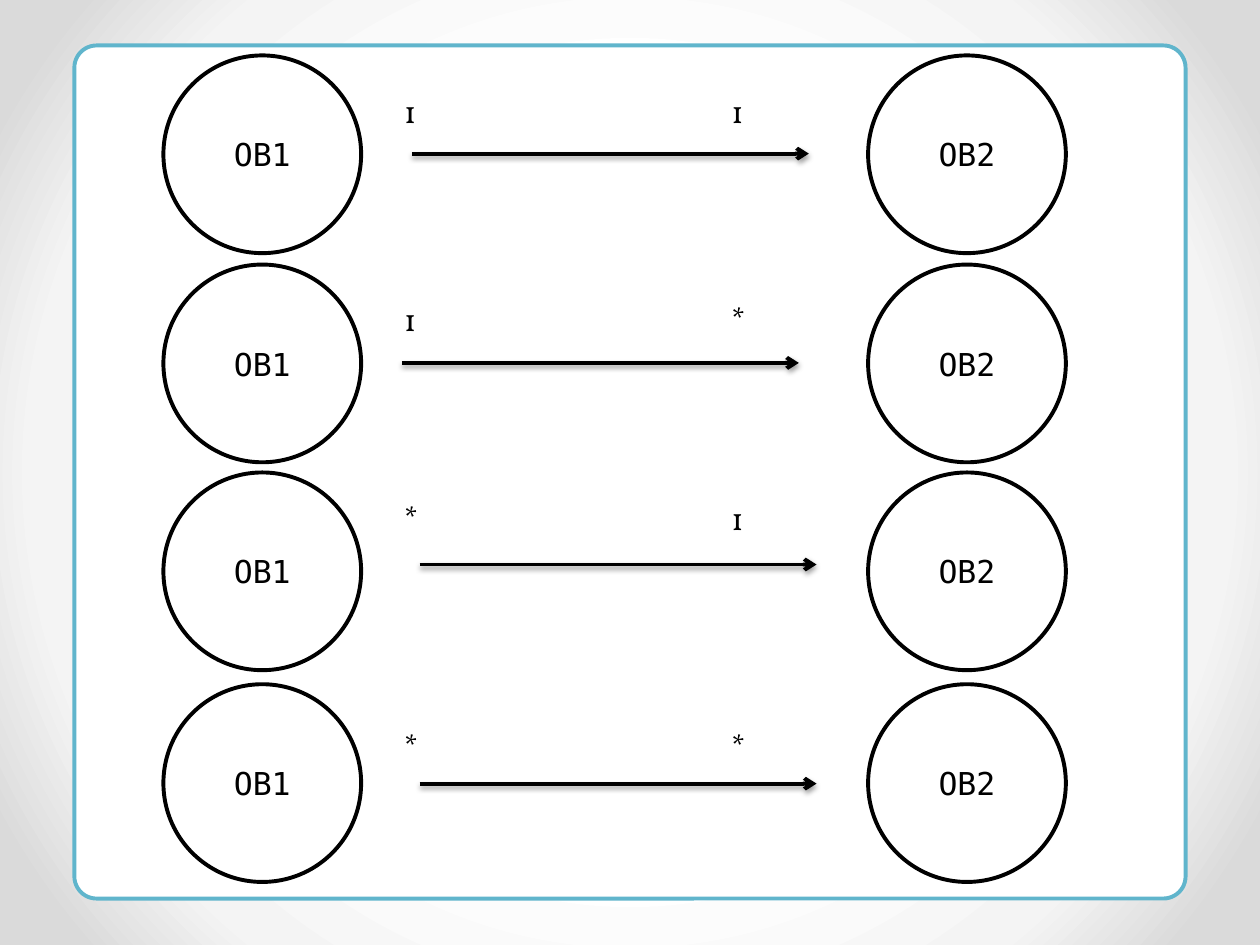
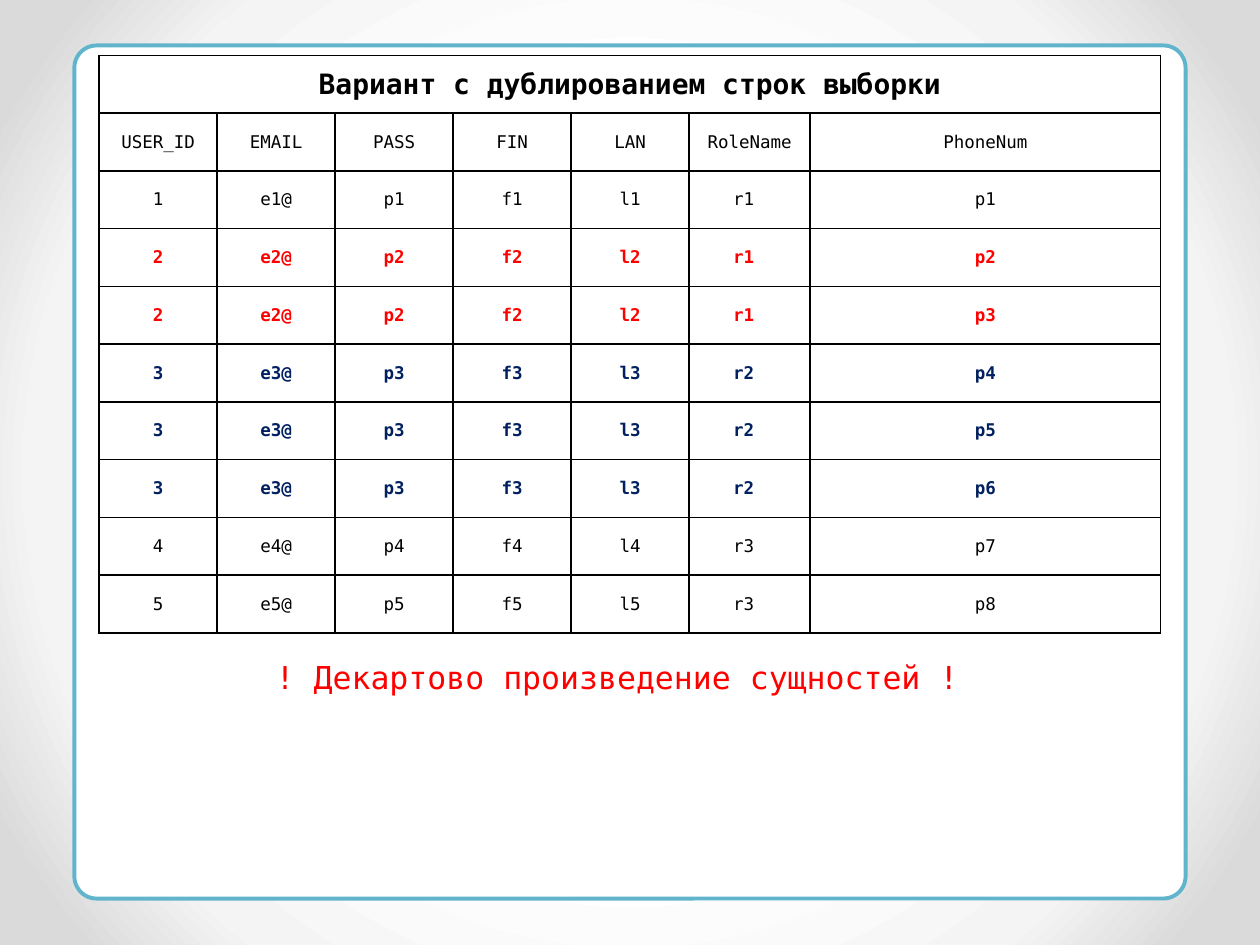
import pptx
import pptx.dml.color
import pptx.enum.shapes
import pptx.enum.text
import pptx.oxml
import pptx.oxml.ns
import pptx.util

Pt = pptx.util.Pt
SHAPE = pptx.enum.shapes.MSO_SHAPE
ALIGN = pptx.enum.text.PP_ALIGN
MIDDLE = pptx.enum.text.MSO_ANCHOR.MIDDLE

BLACK, WHITE, RED, NAVY, FRAME_BLUE = "000000", "FFFFFF", "FF0000", "002060", "60B5CC"
MONO, SERIF = "DejaVu Sans Mono", "Vollkorn"
LINE_WIDTH = 2.25
BACKDROP_STOPS = [(50, WHITE), (76, "F4F4F4"), (92, "DADADA")]

CIRCLE = 113
OB1_LEFT, OB2_LEFT = 93.4, 496.1
ARROW_LENGTH = 226.8
MARK_LEFT, MARK_GAP = 223.9, 187
RELATIONS = [
    # circle top, arrow left, arrow y, marks top, marks
][:0] + [
    (31.7, 235.4, 87.8, 49, "1", "1"),
    (151.2, 229.7, 207.4, 167.8, "1", "*"),
    (270, 239.8, 322.6, 281.5, "*", "1"),
    (391, 239.8, 447.8, 411.8, "*", "*"),
]

COLUMN_WIDTHS = [67.44] * 5 + [69.1, 200.3]
ROW_HEIGHT = 33
ROLE_COLUMN, ROLE_INDENT = 5, 25.2
HEADINGS = ["USER_ID", "EMAIL", "PASS", "FIN", "LAN", "RoleName", "PhoneNum"]
USER_ROLES = [(1, 1), (2, 1), (2, 1), (3, 2), (3, 2), (3, 2), (4, 3), (5, 3)]
USER_COLOURS = {2: RED, 3: NAVY}


def colour(hex_value):
    return pptx.dml.color.RGBColor.from_string(hex_value)


def xml(tag, content, attributes=""):
    namespace = pptx.oxml.ns.nsdecls("a")
    return pptx.oxml.parse_xml(f"<a:{tag} {namespace} {attributes}>{content}</a:{tag}>")


def write_text(frame, text, font=MONO, size=18, ink=BLACK, bold=False, align=ALIGN.CENTER):
    paragraph = frame.paragraphs[0]
    paragraph.alignment = align
    run = paragraph.add_run()
    run.text = text
    run.font.name = font
    run.font.size = Pt(size)
    run.font.bold = bold
    run.font.color.rgb = colour(ink)


def add_outlined(shapes, kind, left, top, width, height, outline):
    shape = shapes.add_shape(kind, Pt(left), Pt(top), Pt(width), Pt(height))
    shape.shadow.inherit = False
    shape.fill.solid()
    shape.fill.fore_color.rgb = colour(WHITE)
    shape.line.color.rgb = colour(outline)
    shape.line.width = Pt(LINE_WIDTH)
    return shape


def add_entity(shapes, left, top, label):
    entity = add_outlined(shapes, SHAPE.OVAL, left, top, CIRCLE, CIRCLE, BLACK)
    entity.text_frame.vertical_anchor = MIDDLE
    write_text(entity.text_frame, label)


def add_label(shapes, left, top, width, text, **text_format):
    label = shapes.add_textbox(Pt(left), Pt(top), Pt(width), Pt(29))
    label.text_frame.word_wrap = True
    label.text_frame.auto_size = pptx.enum.text.MSO_AUTO_SIZE.SHAPE_TO_FIT_TEXT
    write_text(label.text_frame, text, align=ALIGN.LEFT, **text_format)


def add_arrow(shapes, left, y):
    straight = pptx.enum.shapes.MSO_CONNECTOR.STRAIGHT
    arrow = shapes.add_connector(straight, Pt(left), Pt(y), Pt(left + ARROW_LENGTH), Pt(y))
    arrow.line.color.rgb = colour(BLACK)
    arrow.line.width = Pt(LINE_WIDTH)
    properties = arrow.line._get_or_add_ln()
    properties.append(xml("tailEnd", "", 'type="arrow"'))
    shadow = (
        f'<a:outerShdw blurRad="{Pt(3.1)}" dist="{Pt(1.6)}" dir="5400000" rotWithShape="0">'
        f'<a:srgbClr val="{BLACK}"><a:alpha val="38000"/></a:srgbClr></a:outerShdw>'
    )
    properties.addnext(xml("effectLst", shadow))


def add_relation(slide, top, arrow_left, arrow_y, marks_top, *marks):
    shapes = slide.shapes.add_group_shape().shapes
    add_entity(shapes, OB1_LEFT, top, "OB1")
    add_entity(shapes, OB2_LEFT, top, "OB2")
    add_arrow(shapes, arrow_left, arrow_y)
    for position, mark in enumerate(marks):
        add_label(shapes, MARK_LEFT + position * MARK_GAP, marks_top, 40, mark, font=SERIF)


def format_cell(cell):
    properties = cell._tc.get_or_add_tcPr()
    for side in "LRTB":
        line = f'<a:solidFill><a:srgbClr val="{BLACK}"/></a:solidFill>'
        properties.append(xml(f"ln{side}", line, f'w="{Pt(1)}"'))
    cell.fill.background()
    cell.vertical_anchor = MIDDLE


def selection_rows():
    yield HEADINGS, {}
    for phone, (user, role) in enumerate(USER_ROLES, start=1):
        values = [str(user), f"e{user}@", f"p{user}", f"f{user}", f"l{user}", f"r{role}", f"p{phone}"]
        yield values, {"ink": USER_COLOURS.get(user, BLACK), "bold": user in USER_COLOURS}


def add_selection_table(slide):
    row_count, column_count = len(USER_ROLES) + 2, len(HEADINGS)
    table = slide.shapes.add_table(
        row_count, column_count, Pt(56.6), Pt(31.7),
        Pt(sum(COLUMN_WIDTHS)), Pt(ROW_HEIGHT * row_count),
    ).table
    table.first_row = table.horz_banding = False
    for column, width in zip(table.columns, COLUMN_WIDTHS):
        column.width = Pt(width)
    for row in table.rows:
        row.height = Pt(ROW_HEIGHT)
    for cell in table.iter_cells():
        format_cell(cell)
    heading = table.cell(0, 0)
    heading.merge(table.cell(0, column_count - 1))
    write_text(heading.text_frame, "Вариант с дублированием строк выборки", size=16, bold=True)
    for row, (values, text_format) in enumerate(selection_rows(), start=1):
        for column, value in enumerate(values):
            cell = table.cell(row, column)
            indented = column == ROLE_COLUMN and row > 1
            if indented:
                cell.margin_left = Pt(ROLE_INDENT)
            align = ALIGN.LEFT if indented else ALIGN.CENTER
            write_text(cell.text_frame, value, size=10, align=align, **text_format)


def set_backdrop(master):
    master.background.fill.gradient()
    gradient = master.element.find(".//" + pptx.oxml.ns.qn("a:gradFill"))
    stops = "".join(
        f'<a:gs pos="{position * 1000}"><a:srgbClr val="{shade}"/></a:gs>'
        for position, shade in BACKDROP_STOPS
    )
    centre = '<a:fillToRect l="50000" t="50000" r="50000" b="50000"/>'
    content = f'<a:gsLst>{stops}</a:gsLst><a:path path="circle">{centre}</a:path>'
    gradient.getparent().replace(gradient, xml("gradFill", content, 'rotWithShape="1"'))


def add_framed_slide(presentation):
    slide = presentation.slides.add_slide(presentation.slide_layouts[6])
    frame = add_outlined(slide.shapes, SHAPE.ROUNDED_RECTANGLE, 42.5, 26, 635, 487.5, FRAME_BLUE)
    frame.adjustments[0] = 0.026
    return slide


def main():
    presentation = pptx.Presentation()
    presentation.slide_width, presentation.slide_height = Pt(720), Pt(540)
    set_backdrop(presentation.slide_master)

    relations_slide = add_framed_slide(presentation)
    for relation in RELATIONS:
        add_relation(relations_slide, *relation)

    selection_slide = add_framed_slide(presentation)
    add_selection_table(selection_slide)
    add_label(selection_slide.shapes, 150.5, 372.2, 419.8,
              "! Декартово произведение сущностей !", ink=RED)

    presentation.save("out.pptx")


if __name__ == "__main__":
    main()
